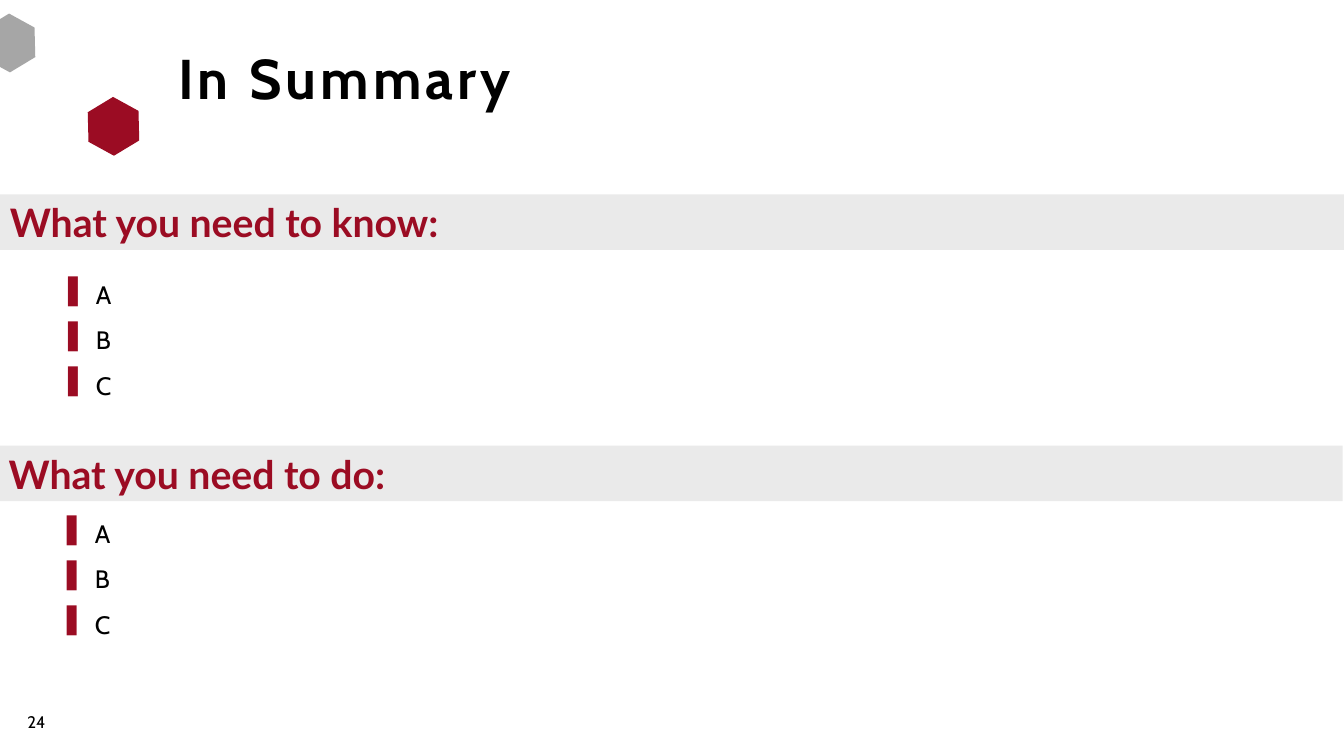
"""Build the "In Summary" slide with two headed bullet lists."""
from dataclasses import dataclass

import lxml.etree
import pptx
import pptx.dml.color
import pptx.enum.shapes
import pptx.enum.text
import pptx.oxml.ns
import pptx.slide
import pptx.text.text
import pptx.util
from pptx.util import Cm

COLORS = {"red": "9B0C23", "gray": "A6A6A6", "band": "EAEAEA", "text": "000000"}
SLIDE_WIDTH = 33.87
Anchor = pptx.enum.text.MSO_ANCHOR
Align = pptx.enum.text.PP_ALIGN
AutoSize = pptx.enum.text.MSO_AUTO_SIZE
Shape = pptx.enum.shapes.MSO_SHAPE


@dataclass(frozen=True)
class Area:
    left: float
    top: float
    width: float
    height: float

    def lengths(self) -> tuple[Cm, Cm, Cm, Cm]:
        return Cm(self.left), Cm(self.top), Cm(self.width), Cm(self.height)


@dataclass(frozen=True)
class Style:
    font: str
    size: int
    color: str
    bold: bool = False


@dataclass(frozen=True)
class Hexagon:
    left: float
    top: float
    color: str


@dataclass(frozen=True)
class Section:
    heading: str
    band: Area
    items: tuple[str, ...]
    body: Area


TITLE = Style("Cabin", 40, "text", True)
HEADING = Style("Lato", 28, "red", True)
ITEM = Style("Cabin", 18, "text")
NUMBER = Style("Cabin", 12, "text")

HEXAGONS = (Hexagon(-0.5, 0.44, "gray"), Hexagon(2.12, 2.54, "red"))
SECTIONS = (
    Section("What you need to know:", Area(0, 4.9, SLIDE_WIDTH, 1.4),
            ("A", "B", "C"), Area(-0.05, 6.53, 33.83, 3.58)),
    Section("What you need to do:", Area(-0.03, 11.23, SLIDE_WIDTH, 1.4),
            ("A", "B", "C"), Area(-0.08, 12.55, 33.93, 3.71)),
)


def rgb(color: str) -> pptx.dml.color.RGBColor:
    return pptx.dml.color.RGBColor.from_string(COLORS[color])


def style_paragraph(para: pptx.text.text._Paragraph, style: Style) -> None:
    para.font.name = style.font
    para.font.size = pptx.util.Pt(style.size)
    para.font.bold = style.bold
    para.font.color.rgb = rgb(style.color)


def add_bullet(para: pptx.text.text._Paragraph) -> None:
    properties = para._p.get_or_add_pPr()
    properties.set("marL", str(Cm(2.22)))
    properties.set("indent", str(Cm(-0.95)))
    qn = pptx.oxml.ns.qn
    bullet_color = lxml.etree.SubElement(properties, qn("a:buClr"))
    lxml.etree.SubElement(bullet_color, qn("a:srgbClr"), val=COLORS["red"])
    lxml.etree.SubElement(properties, qn("a:buChar"), char="▐")


def add_preset(page: pptx.slide.Slide, kind: Shape, area: Area, color: str):
    shape = page.shapes.add_shape(kind, *area.lengths())
    shape.shadow.inherit = False
    shape.fill.solid()
    shape.fill.fore_color.rgb = rgb(color)
    shape.line.fill.background()
    return shape


def add_hexagon(page: pptx.slide.Slide, hexagon: Hexagon) -> None:
    area = Area(hexagon.left, hexagon.top, 1.48, 1.29)
    shape = add_preset(page, Shape.HEXAGON, area, hexagon.color)
    shape.adjustments[0] = 0.29
    shape.rotation = 28.7


def add_text(page: pptx.slide.Slide, area: Area) -> pptx.text.text.TextFrame:
    frame = page.shapes.add_textbox(*area.lengths()).text_frame
    frame.word_wrap = True
    return frame


def add_title(page: pptx.slide.Slide, text: str) -> None:
    frame = add_text(page, Area(4.24, 0.79, 28.58, 2.54))
    frame.vertical_anchor = Anchor.MIDDLE
    para = frame.paragraphs[0]
    para.line_spacing = 0.9
    para.space_before = pptx.util.Pt(10)
    span = para.add_run()
    span.text = text
    span._r.get_or_add_rPr().set("spc", "300")
    style_paragraph(para, TITLE)


def add_page_number(page: pptx.slide.Slide, text: str) -> None:
    frame = add_text(page, Area(0.36, 17.91, 1.12, 0.58))
    frame.margin_left = frame.margin_right = 0
    frame.margin_top = frame.margin_bottom = 0
    frame.vertical_anchor = Anchor.MIDDLE
    para = frame.paragraphs[0]
    para.text = text
    para.alignment = Align.CENTER
    style_paragraph(para, NUMBER)


def add_section(page: pptx.slide.Slide, section: Section) -> None:
    band = add_preset(page, Shape.RECTANGLE, section.band, "band")
    band.text_frame.vertical_anchor = Anchor.MIDDLE
    heading = band.text_frame.paragraphs[0]
    heading.text = section.heading
    heading.alignment = Align.LEFT
    style_paragraph(heading, HEADING)

    frame = add_text(page, section.body)
    frame.auto_size = AutoSize.SHAPE_TO_FIT_TEXT
    frame.text = "\n".join(section.items)
    for para in frame.paragraphs:
        para.level = 1
        para.line_spacing = 1.5
        add_bullet(para)
        style_paragraph(para, ITEM)


def main() -> None:
    deck = pptx.Presentation()
    deck.slide_width, deck.slide_height = Cm(SLIDE_WIDTH), Cm(19.05)
    page = deck.slides.add_slide(deck.slide_layouts[6])
    for hexagon in HEXAGONS:
        add_hexagon(page, hexagon)
    add_page_number(page, "24")
    add_title(page, "In Summary")
    for section in SECTIONS:
        add_section(page, section)
    deck.save("out.pptx")


if __name__ == "__main__":
    main()
